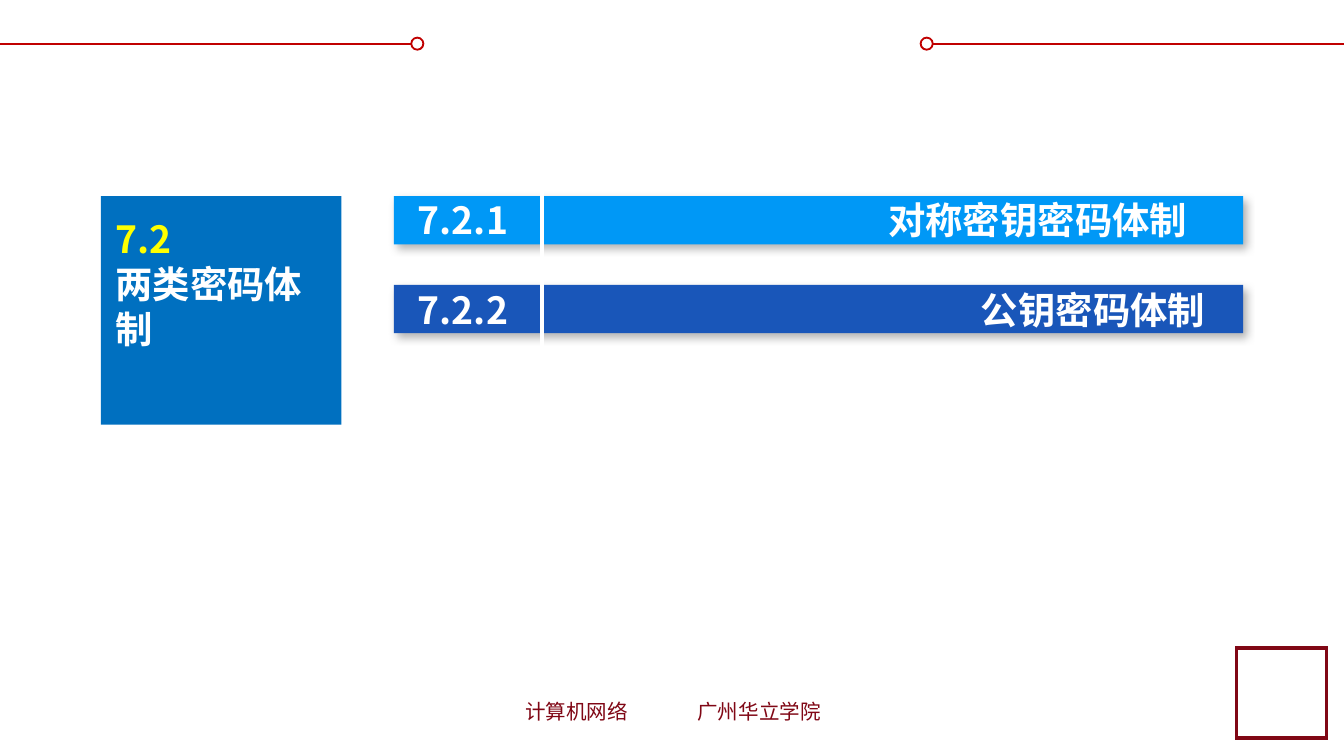
import pptx
import pptx.dml.color
import pptx.enum.shapes
import pptx.enum.text
import pptx.oxml
import pptx.oxml.ns
import pptx.util
from lxml import etree

Inches = pptx.util.Inches
Pt = pptx.util.Pt
KIND = pptx.enum.shapes.MSO_SHAPE
FONT = "Noto Sans CJK SC"
COLORS = {
    "white": "FFFFFF", "red": "C00000", "wine": "800715",
    "sky": "0098F6", "navy": "1956B9", "blue": "0070C0",
    "yellow": "FFFF00", "black": "000000",
}


def color(name):
    return pptx.dml.color.RGBColor.from_string(COLORS[name])


def child(node, tag, **attrs):
    item = etree.SubElement(node, pptx.oxml.ns.qn(tag))
    for key, value in attrs.items():
        item.set(key, str(value))
    return item


def write(para, text, size=20, ink="white", bold=True, lead=24.1, gap=0, tab=None):
    """Fill one paragraph; tab is a left tab stop in inches."""
    if tab:
        stops = child(para._p.get_or_add_pPr(), "a:tabLst")
        child(stops, "a:tab", pos=Inches(tab), algn="l")
    para.line_spacing = Pt(lead)
    if gap:
        para.space_before = Pt(gap)
    run = para.add_run()
    run.text = text
    run.font.name = FONT
    run.font.size = Pt(size)
    run.font.bold = bold
    run.font.color.rgb = color(ink)
    child(run._r.get_or_add_rPr(), "a:ea", typeface=FONT)


class Page:
    def __init__(self, slide):
        self.slide = slide
        self.shapes = slide.shapes

    def line(self, x1, y1, x2, y2, ink, width):
        line = self.shapes.add_connector(
            pptx.enum.shapes.MSO_CONNECTOR.STRAIGHT,
            Inches(x1), Inches(y1), Inches(x2), Inches(y2))
        line.line.color.rgb = color(ink)
        line.line.width = Pt(width)
        child(line._element.spPr, "a:effectLst")

    def shape(self, kind, x, y, w, h, fill, edge=None, width=1, shade=False):
        shape = self.shapes.add_shape(kind, Inches(x), Inches(y), Inches(w), Inches(h))
        shape.shadow.inherit = False
        shape.fill.solid()
        shape.fill.fore_color.rgb = color(fill)
        if edge:
            shape.line.color.rgb = color(edge)
            shape.line.width = Pt(width)
            child(shape.line._get_or_add_ln(), "a:miter", lim=800000)
        else:
            shape.line.fill.background()
        if shade:
            self.shade(shape)

    def shade(self, shape):
        effects = shape._element.spPr.find(pptx.oxml.ns.qn("a:effectLst"))
        outer = child(effects, "a:outerShdw", blurRad=Pt(4.5), dist=Pt(2.6),
                      dir=53 * 60000, algn="tl", rotWithShape=0)
        tint = child(outer, "a:srgbClr", val=COLORS["black"])
        child(tint, "a:alpha", val=30000)

    def text(self, x, y, w, h, parts):
        """Add a text box; parts holds (text, format) pairs."""
        box = self.shapes.add_textbox(Inches(x), Inches(y), Inches(w), Inches(h))
        frame = box.text_frame
        frame.word_wrap = True
        frame.auto_size = pptx.enum.text.MSO_AUTO_SIZE.NONE
        for i, (words, style) in enumerate(parts):
            para = frame.add_paragraph() if i else frame.paragraphs[0]
            write(para, words, **style)


def main():
    # Wide 16:9 slide
    deck = pptx.Presentation()
    deck.slide_width = Inches(10)
    deck.slide_height = Inches(10 * 9 / 16)
    page = Page(deck.slides.add_slide(deck.slide_layouts[6]))

    # Top rules, each with a ring at its inner end
    for start, ring in ((0, 3.06), (6.85, 6.85)):
        page.line(start, 0.33, start + 3.15, 0.33, "red", 1)
        page.shape(KIND.OVAL, ring, 0.28, 0.09, 0.09, "white", "red")

    # Footer and corner frame
    page.text(3.81, 5.15, 2.48, 0.29, [
        ("计算机网络\t广州华立学院",
         dict(size=11, ink="wine", bold=False, lead=13.3, tab=1.28))])
    page.shape(KIND.RECTANGLE, 9.2, 4.82, 0.67, 0.67, "white", "wine", 2)

    # Topic bars, split by a white line
    for i, fill in enumerate(("sky", "navy")):
        page.shape(KIND.RECTANGLE, 2.93, 1.46 + 0.66 * i, 6.32, 0.36, fill, shade=True)
    page.line(4.03, 1.31, 4.03, 2.86, "white", 2.25)
    page.text(3.01, 1.42, 6.12, 1.11, [
        ("7.2.1\t对称密钥密码体制", dict(tab=3.5)),
        ("7.2.2\t公钥密码体制", dict(tab=4.19, gap=24.1))])

    # Section block
    page.shape(KIND.RECTANGLE, 0.75, 1.46, 1.79, 1.7, "blue")
    page.text(0.76, 1.56, 1.78, 1.11, [
        ("7.2", dict(ink="yellow")), ("两类密码体制", {})])

    deck.save("out.pptx")


if __name__ == "__main__":
    main()
